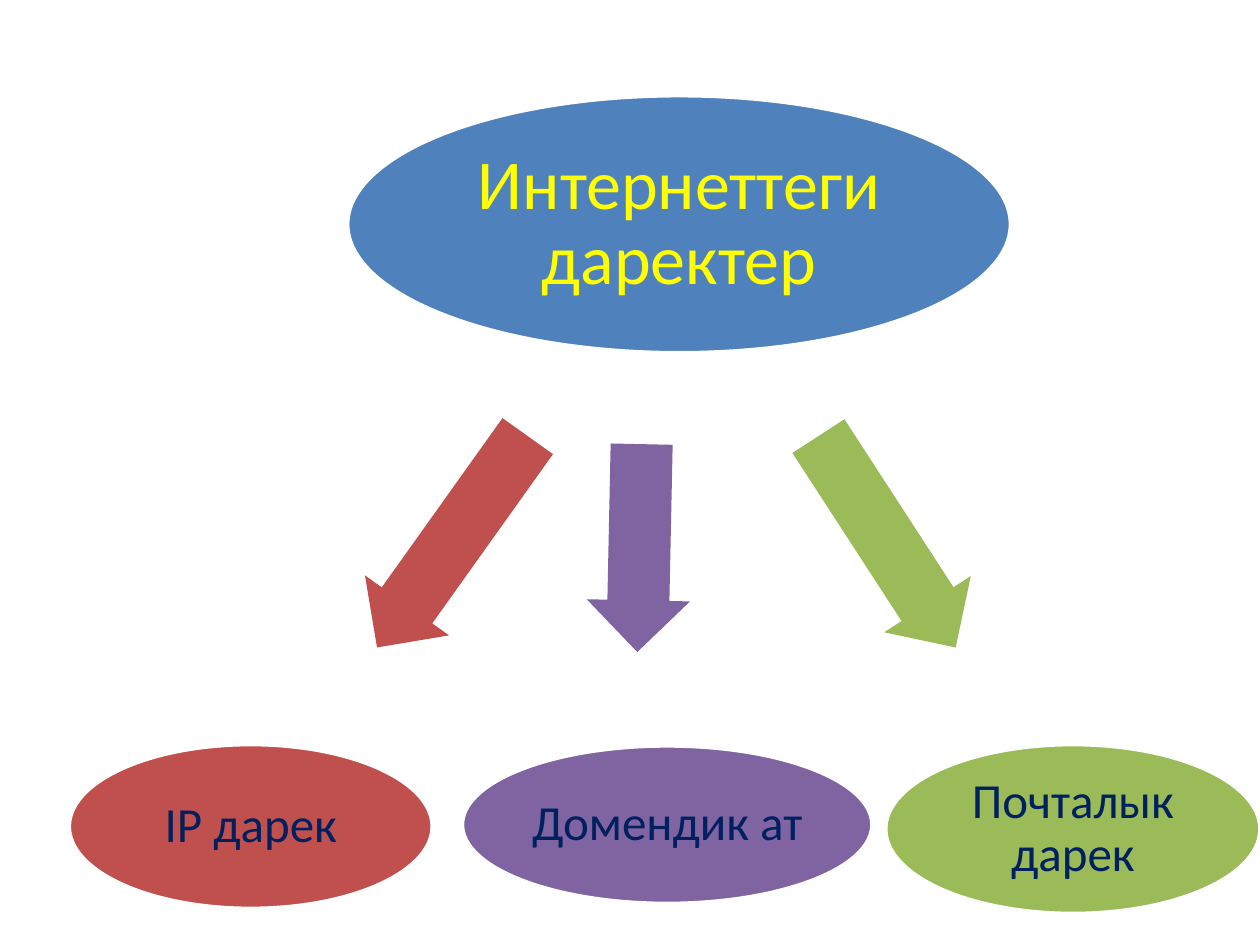
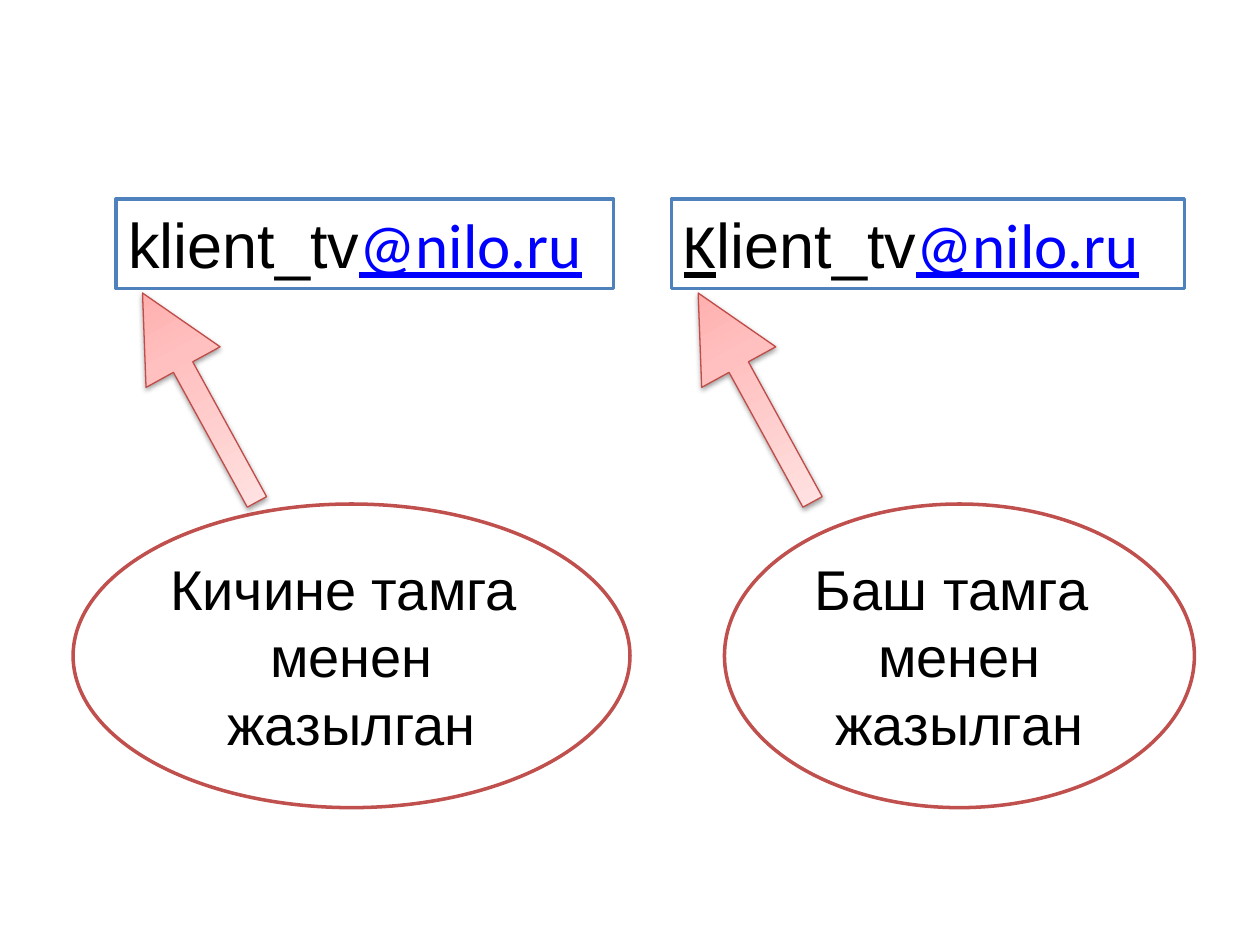
from lxml.etree import SubElement
from pptx import Presentation
from pptx.dml.color import RGBColor
from pptx.enum.shapes import MSO_SHAPE
from pptx.enum.text import MSO_ANCHOR, MSO_AUTO_SIZE, PP_ALIGN
from pptx.oxml import parse_xml
from pptx.oxml.ns import nsdecls, qn
from pptx.util import Inches, Pt

COLORS = {
    "blue": "4F81BD", "red": "C0504D", "purple": "8064A2", "green": "9BBB59",
    "yellow": "FFFF00", "navy": "002060", "white": "FFFFFF", "black": "000000",
    "link": "0000FF", "arrow_line": "BF4C48",
}
GRADIENT = [(0, "FFA6A5"), (35, "FFC0BF"), (100, "FFE7E7")]


def add_shape(s, kind, box, fill=None, line=None, width=2, rotation=0):
    sp = s.shapes.add_shape(kind, *[Inches(v) for v in box])
    sp.shadow.inherit = False
    sp.rotation = rotation
    if fill:
        sp.fill.solid()
        sp.fill.fore_color.rgb = RGBColor.from_string(COLORS[fill])
    if line:
        sp.line.color.rgb = RGBColor.from_string(COLORS[line])
        sp.line.width = Pt(width)
    else:
        sp.line.fill.background()
    return sp


def add_run(p, text, size, font="Calibri", color="black", underline=False):
    r = p.add_run()
    r.text = text
    r.font.size = Pt(size)
    r.font.name = font
    r.font.underline = underline
    r.font.color.rgb = RGBColor.from_string(COLORS[color])


prs = Presentation()
prs.slide_width, prs.slide_height = Inches(10), Inches(7.5)
blank = prs.slide_layouts[6]

# Slide 1: kinds of addresses
s = prs.slides.add_slide(blank)
ovals = [
    ("Интернеттеги даректер", (2.76, 0.76, 5.26, 2.04), "blue", 40, "yellow", 0.06),
    ("IP дарек", (0.55, 5.91, 2.88, 1.3), "red", 28, "navy", 0.04),
    ("Почталык дарек", (7.03, 5.91, 2.97, 1.34), "green", 28, "navy", 0.04),
    ("Домендик ат", (3.67, 5.92, 3.25, 1.25), "purple", 28, "navy", 0.04),
]
for text, box, fill, size, color, inset in ovals:
    sp = add_shape(s, MSO_SHAPE.OVAL, box, fill, "white")
    tf = sp.text_frame
    tf.word_wrap = True
    tf.vertical_anchor = MSO_ANCHOR.MIDDLE
    tf.margin_left = tf.margin_right = tf.margin_top = tf.margin_bottom = Inches(inset)
    p = tf.paragraphs[0]
    p.alignment = PP_ALIGN.CENTER
    p.line_spacing = 0.9
    add_run(p, text, size, color=color)

arrows = [
    ((2.56, 3.89, 2.06, 0.82), "red", 125.5),
    ((6.04, 3.89, 2, 0.82), "green", 57),
    ((4.25, 3.94, 1.65, 0.82), "purple", 91.2),
]
for box, fill, rotation in arrows:
    sp = add_shape(s, MSO_SHAPE.RIGHT_ARROW, box, fill, rotation=rotation)
    sp.adjustments[0], sp.adjustments[1] = 0.6, 0.5

# Slide 2: small and capital letters in an address
s = prs.slides.add_slide(blank)
domain = ("@nilo.ru", "Calibri", "link", True)
addresses = [
    (0.92, 3.95, [("klient_tv", "Arial", "black", False), domain]),
    (5.33, 4.07, [("K", "Calibri", "black", True),
                  ("lient_tv", "Arial", "black", False), domain,
                  (" ", "Calibri", "black", False)]),
]
for left, width, runs in addresses:
    sp = add_shape(s, MSO_SHAPE.RECTANGLE, (left, 1.58, width, 0.71), "white", "blue")
    tf = sp.text_frame
    tf.word_wrap = False
    tf.auto_size = MSO_AUTO_SIZE.SHAPE_TO_FIT_TEXT
    tf.vertical_anchor = MSO_ANCHOR.TOP
    p = tf.paragraphs[0]
    p.alignment = PP_ALIGN.LEFT
    for text, font, color, underline in runs:
        add_run(p, text, 36, font, color, underline)

notes = [(0.58, 4.42, "Кичине тамга "), (5.75, 3.73, "Баш тамга ")]
for left, width, first_line in notes:
    sp = add_shape(s, MSO_SHAPE.OVAL, (left, 4, width, 2.41), "white", "red")
    tf = sp.text_frame
    tf.word_wrap = True
    tf.auto_size = MSO_AUTO_SIZE.SHAPE_TO_FIT_TEXT
    tf.vertical_anchor = MSO_ANCHOR.TOP
    for i, text in enumerate([first_line, "менен жазылган"]):
        p = tf.add_paragraph() if i else tf.paragraphs[0]
        p.alignment = PP_ALIGN.CENTER
        add_run(p, text, 32, "Arial")

stops = "".join(f'<a:gs pos="{pos * 1000}"><a:srgbClr val="{color}"/></a:gs>'
                for pos, color in GRADIENT)
for left in (1.25, 5.66):
    sp = add_shape(s, MSO_SHAPE.DOWN_ARROW, (left, 2.21, 0.67, 1.89),
                   line="arrow_line", width=0.75, rotation=151.3)
    sp.adjustments[0], sp.adjustments[1] = 0.26, 1
    spPr = sp.element.spPr
    spPr.find(qn("a:prstGeom")).addnext(parse_xml(
        f'<a:gradFill {nsdecls("a")} rotWithShape="1"><a:gsLst>{stops}</a:gsLst>'
        '<a:lin ang="16200000" scaled="1"/></a:gradFill>'))
    shadow = SubElement(spPr.find(qn("a:effectLst")), qn("a:outerShdw"),
                        blurRad=str(Pt(3.1)), dist=str(Pt(1.6)),
                        dir="5400000", rotWithShape="0")
    shade = SubElement(shadow, qn("a:srgbClr"), val=COLORS["black"])
    SubElement(shade, qn("a:alpha"), val="38000")

prs.save("out.pptx")
